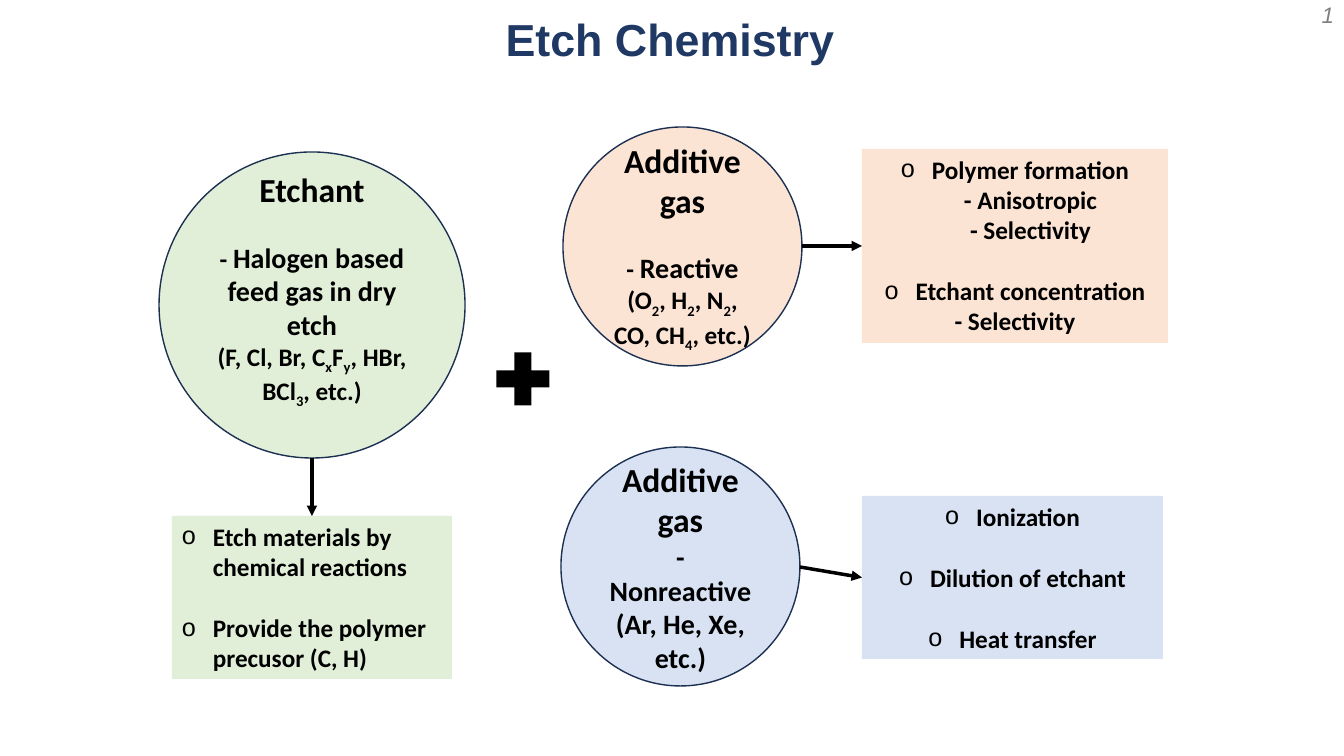
import pptx
import pptx.util
import pptx.dml.color
import pptx.enum.shapes
import pptx.enum.text
import pptx.oxml
import pptx.oxml.ns

RGBColor = pptx.dml.color.RGBColor
SHAPE = pptx.enum.shapes.MSO_SHAPE
ALIGN = pptx.enum.text.PP_ALIGN
ANCHOR = pptx.enum.text.MSO_ANCHOR

NAVY = RGBColor(0x1F, 0x38, 0x64)
OUTLINE = RGBColor(0x1C, 0x30, 0x52)
GREY = RGBColor(0x7F, 0x7F, 0x7F)
BLACK = RGBColor(0, 0, 0)
GREEN = RGBColor(0xE1, 0xEF, 0xD8)
ORANGE = RGBColor(0xFB, 0xE4, 0xD4)
BLUE = RGBColor(0xD8, 0xE2, 0xF3)

EMU_PER_PX = 914400 / 100.8
BLANK_LINE = pptx.util.Pt(22)
HANG = 31


def px(n):
    return pptx.util.Emu(round(n * EMU_PER_PX))


def add_xml(parent, tag, **attrs):
    el = pptx.oxml.parse_xml(f"<a:{tag} {pptx.oxml.ns.nsdecls('a')}/>")
    for name, value in attrs.items():
        el.set(name, str(value))
    parent.append(el)
    return el


class Deck:
    heading_font = "Arial"
    body_font = "Calibri"

    def __init__(self, width, height):
        self.prs = pptx.Presentation()
        self.prs.slide_width, self.prs.slide_height = px(width), px(height)
        self.slide = self.prs.slides.add_slide(self.prs.slide_layouts[5])

    def style(self, r, size, color=BLACK, font=None, bold=True, italic=False):
        r.font.name = font or self.body_font
        r.font.size = pptx.util.Pt(size)
        r.font.bold, r.font.italic = bold, italic
        r.font.color.rgb = color

    def title(self, text, x, y, w, h):
        sp = self.slide.shapes.title
        sp.left, sp.top, sp.width, sp.height = map(px, (x, y, w, h))
        sp.text_frame.text = text
        sp.text_frame.vertical_anchor = ANCHOR.MIDDLE
        p = sp.text_frame.paragraphs[0]
        p.alignment = ALIGN.CENTER
        p.line_spacing = 0.9
        self.style(p.runs[0], 32, NAVY, self.heading_font)

    def page_number(self, text, x, y, w, h):
        tf = self.slide.shapes.add_textbox(*map(px, (x, y, w, h))).text_frame
        tf.word_wrap = True
        tf.vertical_anchor = ANCHOR.MIDDLE
        tf.text = text
        p = tf.paragraphs[0]
        p.alignment = ALIGN.RIGHT
        self.style(p.runs[0], 16, GREY, self.heading_font, bold=False, italic=True)

    def shape(self, kind, x, y, w, h, fill, line=None):
        sp = self.slide.shapes.add_shape(kind, *map(px, (x, y, w, h)))
        sp.shadow.inherit = False
        sp.fill.solid()
        sp.fill.fore_color.rgb = fill
        if line is None:
            sp.line.fill.background()
        else:
            sp.line.color.rgb = line
            sp.line.width = pptx.util.Pt(1)
        sp.text_frame.word_wrap = True
        return sp

    def circle(self, x, y, d, fill, heading, lines, gap=True, bottom=5):
        sp = self.shape(SHAPE.OVAL, x, y, d, d, fill, OUTLINE)
        tf = sp.text_frame
        tf.vertical_anchor = ANCHOR.MIDDLE
        tf.margin_bottom = px(bottom)
        for i, parts in enumerate([[(24, heading)]] + lines):
            p = tf.add_paragraph() if i else tf.paragraphs[0]
            p.alignment = ALIGN.CENTER
            if i == 1 and gap:
                p.space_before = BLANK_LINE
            for size, text in parts:
                for k, piece in enumerate(text.split("_")):
                    r = p.add_run()
                    r.text = piece
                    self.style(r, size)
                    if k % 2:
                        r.font._element.set("baseline", "-25000")
        return sp

    def box(self, x, y, w, h, fill, items, align=ALIGN.CENTER):
        sp = self.shape(SHAPE.RECTANGLE, x, y, w, h, fill)
        tf = sp.text_frame
        tf.vertical_anchor = ANCHOR.TOP
        tf.auto_size = pptx.enum.text.MSO_AUTO_SIZE.SHAPE_TO_FIT_TEXT
        for i, text in enumerate(items):
            p = tf.add_paragraph() if i else tf.paragraphs[0]
            p.text = text
            p.alignment = align
            for r in p.runs:
                self.style(r, 18)
            if not text.startswith("-"):
                self.bullet(p, i > 0)
        return sp

    def bullet(self, p, gap):
        if gap:
            p.space_before = BLANK_LINE
        pPr = p._p.get_or_add_pPr()
        pPr.set("marL", str(px(HANG)))
        pPr.set("indent", str(-px(HANG)))
        add_xml(add_xml(pPr, "buClr"), "srgbClr", val=BLACK)
        add_xml(pPr, "buFont", typeface=self.heading_font)
        add_xml(pPr, "buChar", char="o")

    def arrow(self, x, y, box, site):
        sp = self.slide.shapes.add_connector(
            pptx.enum.shapes.MSO_CONNECTOR.STRAIGHT, px(x), px(y), px(x), px(y))
        sp.end_connect(box, site)
        sp.line.color.rgb = BLACK
        sp.line.width = pptx.util.Pt(2.5)
        add_xml(sp.line._get_or_add_ln(), "tailEnd", type="triangle")
        add_xml(sp._element.spPr, "effectLst")


def main():
    deck = Deck(1344, 756)
    deck.title("Etch Chemistry", 18, 13, 1304, 58)
    deck.page_number("1", 1253, 0, 91, 30)

    deck.circle(159, 152, 306, GREEN, "Etchant", [
        [(18, "- "), (20, "Halogen based feed gas in dry etch")],
        [(18, "(F, Cl, Br, C_x_F_y_, HBr, BCl_3_, etc.)")],
    ], bottom=36)
    deck.circle(563, 127, 239, ORANGE, "Additive gas", [
        [(18, "- "), (20, "Reactive")],
        [(18, "(O_2_, H_2_, N_2_, CO, CH_4_, etc.)")],
    ])
    deck.circle(561, 447, 239, BLUE, "Additive gas", [
        [(20, "- Nonreactive")],
        [(20, "(Ar, He, Xe, etc.)")],
    ], gap=False)

    reactive = deck.box(862, 149, 306, 194, ORANGE, [
        "Polymer formation\v- Anisotropic\v- Selectivity",
        "Etchant concentration",
        "- Selectivity",
    ])
    nonreactive = deck.box(862, 496, 301, 163, BLUE, [
        "Ionization", "Dilution of etchant", "Heat transfer"])
    etching = deck.box(172, 516, 280, 163, GREEN, [
        "Etch materials by chemical reactions",
        "Provide the polymer precusor (C, H)",
    ], ALIGN.LEFT)

    plus = deck.shape(SHAPE.MATH_PLUS, 487, 343, 72, 72, BLACK)
    plus.adjustments[0] = 0.235

    deck.arrow(312, 458, etching, 0)
    deck.arrow(802, 246, reactive, 1)
    deck.arrow(800, 567, nonreactive, 1)
    deck.prs.save("out.pptx")


if __name__ == "__main__":
    main()
